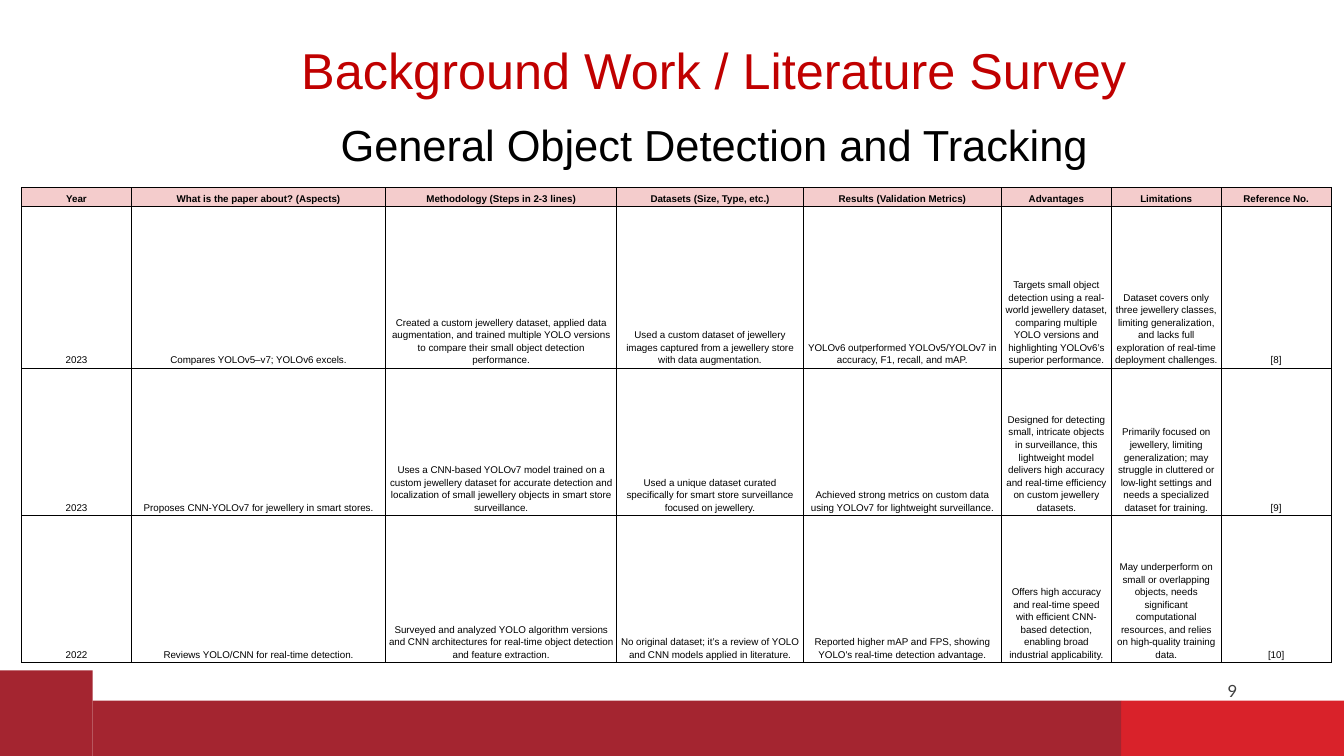
from lxml.etree import SubElement
from pptx import Presentation
from pptx.dml.color import RGBColor
from pptx.enum.shapes import MSO_SHAPE as Shape
from pptx.enum.text import MSO_ANCHOR as Anchor, MSO_AUTO_SIZE as AutoSize, PP_ALIGN as Align
from pptx.oxml.ns import qn
from pptx.util import Pt

COLORS = {
    "title": "C00000", "text": "000000", "number": "3F3F3F", "border": "000000",
    "header": "F4CCCC", "cell": "FFFFFF", "band": "A42530", "accent": "D9222A",
}
SLIDE_W, SLIDE_H = 960, 540
COLUMN_WIDTHS = [78.5, 181.5, 165.2, 133.2, 141.6, 78.5, 78.5, 78.5]
ROW_HEIGHTS = [13.5, 115.5, 105.2, 105.2]

SURVEY = [
    ["Year", "What is the paper about? (Aspects)", "Methodology (Steps in 2-3 lines)",
     "Datasets (Size, Type, etc.)", "Results (Validation Metrics)", "Advantages",
     "Limitations", "Reference No."],
    ["2023", "Compares YOLOv5–v7; YOLOv6 excels.",
     "Created a custom jewellery dataset, applied data augmentation, and trained multiple "
     "YOLO versions to compare their small object detection performance.",
     "Used a custom dataset of jewellery images captured from a jewellery store with data "
     "augmentation.",
     "YOLOv6 outperformed YOLOv5/YOLOv7 in accuracy, F1, recall, and mAP.",
     "Targets small object detection using a real-world jewellery dataset, comparing "
     "multiple YOLO versions and highlighting YOLOv6’s superior performance.",
     "Dataset covers only three jewellery classes, limiting generalization, and lacks full "
     "exploration of real-time deployment challenges.",
     "[8]"],
    ["2023", "Proposes CNN-YOLOv7 for jewellery in smart stores.",
     "Uses a CNN-based YOLOv7 model trained on a custom jewellery dataset for accurate "
     "detection and localization of small jewellery objects in smart store surveillance.",
     "Used a unique dataset curated specifically for smart store surveillance focused on "
     "jewellery.",
     "Achieved strong metrics on custom data using YOLOv7 for lightweight surveillance.",
     "Designed for detecting small, intricate objects in surveillance, this lightweight "
     "model delivers high accuracy and real-time efficiency on custom jewellery datasets.",
     "Primarily focused on jewellery, limiting generalization; may struggle in cluttered or "
     "low-light settings and needs a specialized dataset for training.",
     "[9]"],
    ["2022", "Reviews YOLO/CNN for real-time detection.",
     "Surveyed and analyzed YOLO algorithm versions and CNN architectures for real-time "
     "object detection and feature extraction.",
     "No original dataset; it’s a review of YOLO and CNN models applied in literature.",
     "Reported higher mAP and FPS, showing YOLO's real-time detection advantage.",
     "Offers high accuracy and real-time speed with efficient CNN-based detection, enabling "
     "broad industrial applicability.",
     "May underperform on small or overlapping objects, needs significant computational "
     "resources, and relies on high-quality training data.",
     "[10]"],
]


def color(name):
    return RGBColor.from_string(COLORS[name])


def write(frame, text, size, ink, font="Arial", bold=False, spacing=1.0):
    paragraph = frame.paragraphs[0]
    paragraph.alignment = Align.CENTER
    paragraph.line_spacing = spacing
    paragraph.space_before = Pt(0)
    run = paragraph.add_run()
    run.text = text
    run.font.size, run.font.name, run.font.bold = Pt(size), font, bold
    run.font.color.rgb = color(ink)


def place_text(holder, box, text, size, ink, **style):
    holder.left, holder.top, holder.width, holder.height = map(Pt, box)
    frame = holder.text_frame
    frame.word_wrap = True
    frame.auto_size = AutoSize.NONE
    frame.vertical_anchor = Anchor.MIDDLE
    write(frame, text, size, ink, **style)


def add_footer(slide, left, top, width, height):
    """Bottom band with a raised left corner and a bright right end."""
    corner_w, corner_rise, accent_w = 66.2, 21.6, 159.2
    blocks = [
        (left, top - corner_rise, corner_w, height + corner_rise, "band"),
        (left + width - accent_w, top, accent_w, height, "accent"),
        (left + corner_w, top, width - corner_w - accent_w, height, "band"),
    ]
    for *box, fill in blocks:
        block = slide.shapes.add_shape(Shape.RECTANGLE, *map(Pt, box))
        block.shadow.inherit = False
        block.fill.solid()
        block.fill.fore_color.rgb = color(fill)
        block.line.fill.background()

    # Page number above the bright end
    number_box = (left + width - accent_w, top - 26.6, accent_w, 38.9)
    number = slide.shapes.add_textbox(*map(Pt, number_box))
    place_text(number, number_box, "9", 12, "number", font="Lato")


def add_headings(slide, left, top, width):
    title, topic = slide.placeholders
    place_text(title, (left, top, width, 64.8),
               "Background Work / Literature Survey", 36, "title", spacing=0.9)
    place_text(topic, (left + 28, top + 59, width - 56, 46.8),
               "General Object Detection and Tracking", 31, "text")


def outline_cell(cell):
    props = cell._tc.get_or_add_tcPr()
    for index, side in enumerate(("a:lnL", "a:lnR", "a:lnT", "a:lnB")):
        line = SubElement(props, qn(side), w=str(Pt(0.75)))
        fill = SubElement(line, qn("a:solidFill"))
        SubElement(fill, qn("a:srgbClr"), val=COLORS["border"])
        props.remove(line)
        props.insert(index, line)


def add_survey_table(slide, left, top):
    box = (left, top, sum(COLUMN_WIDTHS), sum(ROW_HEIGHTS))
    table = slide.shapes.add_table(len(SURVEY), len(COLUMN_WIDTHS), *map(Pt, box)).table
    table.horz_banding = False
    for column, width in zip(table.columns, COLUMN_WIDTHS):
        column.width = Pt(width)
    for row, height, entries in zip(table.rows, ROW_HEIGHTS, SURVEY):
        row.height = Pt(height)
        is_header = entries is SURVEY[0]
        for cell, entry in zip(row.cells, entries):
            cell.margin_left = cell.margin_right = Pt(2.25)
            cell.margin_top = cell.margin_bottom = Pt(1.5)
            cell.vertical_anchor = Anchor.BOTTOM
            cell.fill.solid()
            cell.fill.fore_color.rgb = color("header" if is_header else "cell")
            outline_cell(cell)
            write(cell.text_frame, entry, 7, "text", bold=is_header, spacing=1.15)


def main():
    deck = Presentation()
    deck.slide_width, deck.slide_height = Pt(SLIDE_W), Pt(SLIDE_H)
    slide = deck.slides.add_slide(deck.slide_layouts[0])
    add_footer(slide, 0, 500.4, SLIDE_W, SLIDE_H - 500.4)
    add_headings(slide, 196.5, 20.2, 627)
    add_survey_table(slide, 15.4, 133.9)
    deck.save("out.pptx")


if __name__ == "__main__":
    main()
